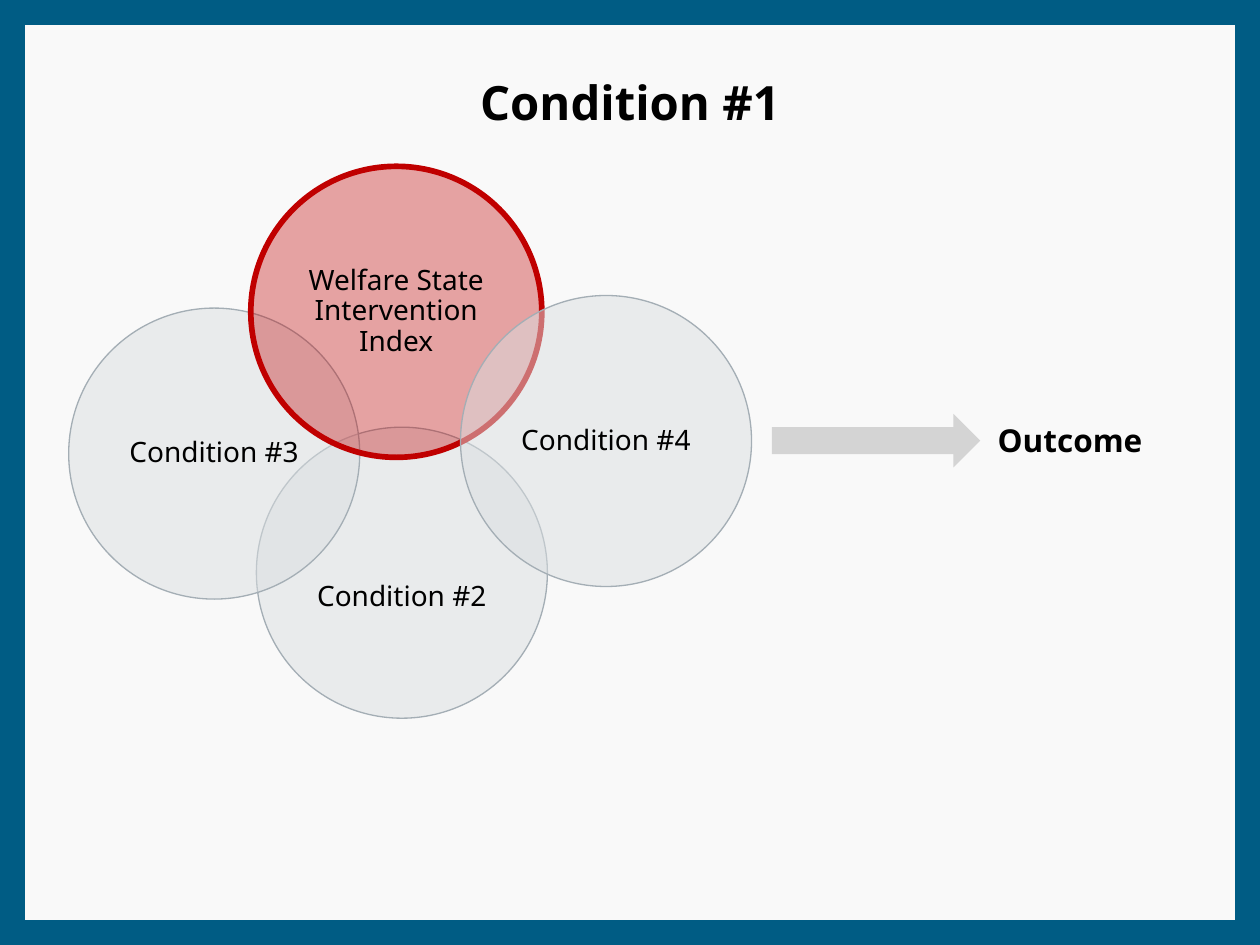
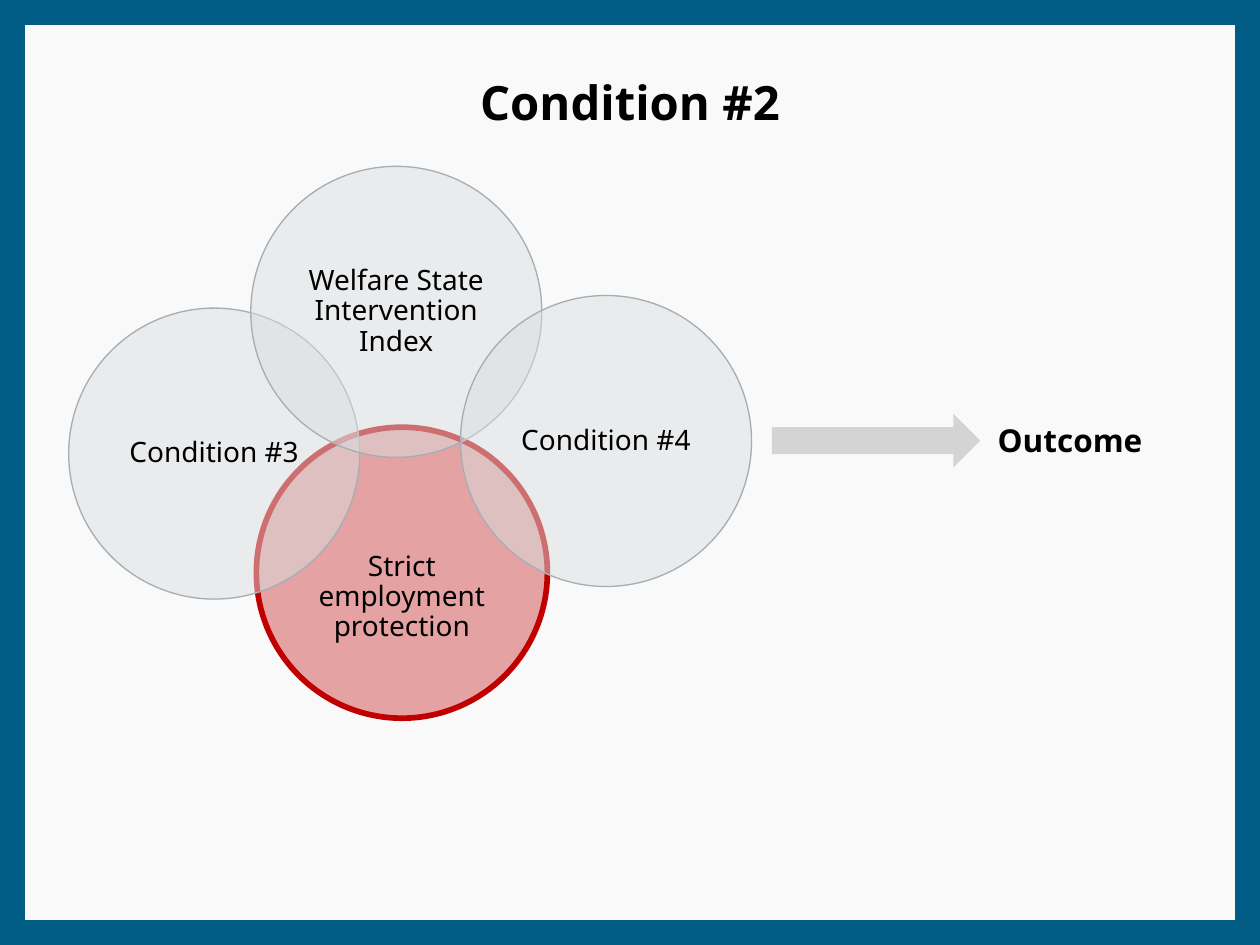
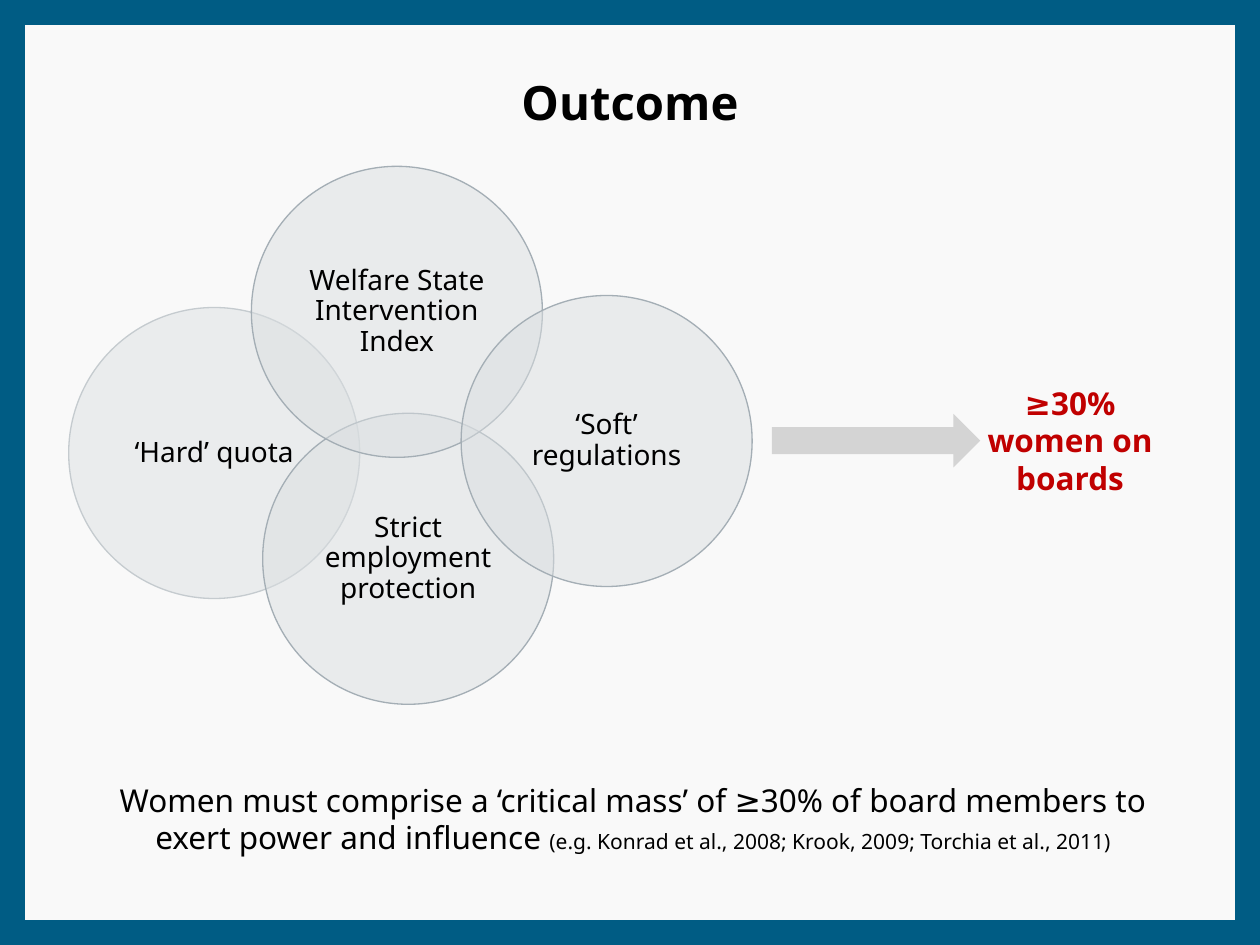
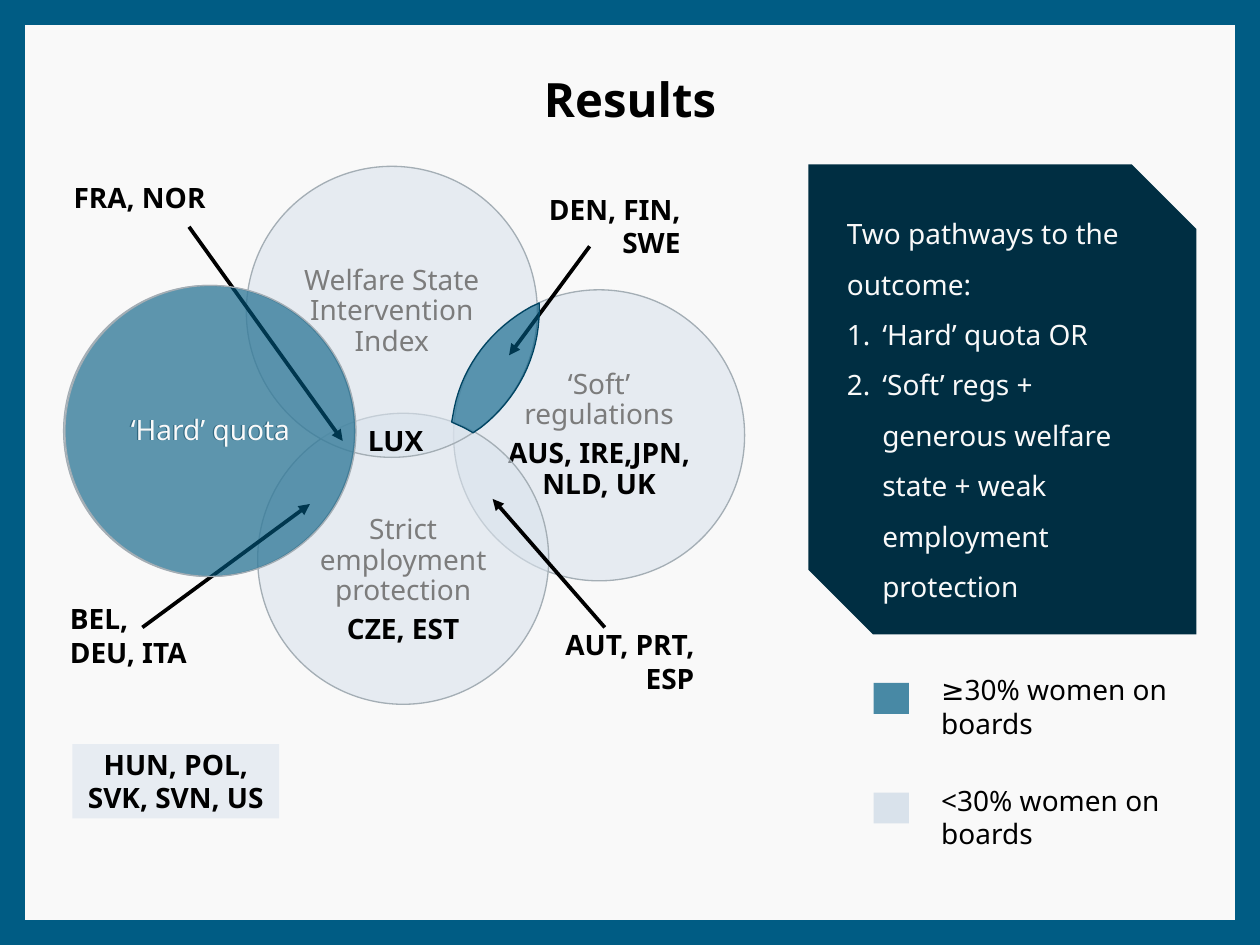
"""Build four slides on the conditions behind women's share of board seats."""
import dataclasses
import typing

import lxml.etree
import pptx
import pptx.dml.color
import pptx.enum.shapes
import pptx.enum.text
import pptx.oxml.ns
import pptx.presentation
import pptx.shapes.autoshape
import pptx.slide
import pptx.text.text
import pptx.util

Pt = pptx.util.Pt
qn = pptx.oxml.ns.qn
ShapeKind = pptx.enum.shapes.MSO_SHAPE
Align = pptx.enum.text.PP_ALIGN
Anchor = pptx.enum.text.MSO_ANCHOR
Shape = pptx.shapes.autoshape.Shape
Slide = pptx.slide.Slide
Paragraph = pptx.text.text._Paragraph
Point = tuple[float, float]

FONT = "Noto Sans"
COLORS = {
    "frame": "005C84", "panel": "F9F9F9", "text": "000000", "muted": "7C7C7C",
    "red": "C00000", "grey": "DBDFE1", "outline": "A4AEB5", "pale": "EAECED",
    "pale_outline": "C5CBCF", "ice": "DAE3EC", "arrow": "D4D4D4",
    "navy": "002E42", "overlap": "004462", "note": "E7ECF2", "low": "C4D4E2",
}
DIAMETER = 332.6
WELFARE = "Welfare State Intervention Index"
PROTECTION = "Strict employment protection"
HARD = "‘Hard’ quota"
SOFT = "‘Soft’ regulations"


class Style(typing.NamedTuple):
    fill: str
    alpha: int = 100
    line: str = "outline"
    line_width: float = 1.5
    text: str = "text"


GREY = Style("grey", 50)
PALE = Style("pale", line="pale_outline")
ACTIVE = Style("red", 35, "red", 6.5)
ICE = Style("ice", 60, text="muted")
FADED = Style("grey", 50, text="muted")
BLUE = Style("frame", 60, text="panel")


@dataclasses.dataclass(frozen=True)
class Circle:
    left: float
    top: float
    label: str
    style: Style = GREY
    countries: str = ""
    drop: float = 0


@dataclasses.dataclass(frozen=True)
class Label:
    text: str
    left: float
    top: float
    width: float
    height: float = 85
    align: Align = Align.LEFT
    bold: bool = True


def rgb(name: str) -> pptx.dml.color.RGBColor:
    return pptx.dml.color.RGBColor.from_string(COLORS[name])


def paint(shape: Shape, fill: str, *, alpha: int = 100, line: str = "",
          line_width: float = 1.5) -> None:
    shape.shadow.inherit = False
    shape.fill.solid()
    shape.fill.fore_color.rgb = rgb(fill)
    if alpha < 100:
        color = shape.element.spPr.find(f"{qn('a:solidFill')}/{qn('a:srgbClr')}")
        lxml.etree.SubElement(color, qn("a:alpha"), val=str(alpha * 1000))
    if line:
        shape.line.color.rgb = rgb(line)
        shape.line.width = Pt(line_width)
    else:
        shape.line.fill.background()


def add_shape(page: Slide, kind: ShapeKind, left: float, top: float, width: float, height: float,
              fill: str, **look: typing.Any) -> Shape:
    shape = page.shapes.add_shape(kind, Pt(left), Pt(top), Pt(width), Pt(height))
    paint(shape, fill, **look)
    return shape


def write(box: Shape, text: str, *, size: float = 32, color: str = "text", bold: bool = False,
          align: Align = Align.LEFT, spacing: float = 1.0, before: float = 0,
          numbered: bool = False, para: Paragraph | None = None) -> Paragraph:
    frame = box.text_frame
    frame.word_wrap = True
    if para is None:
        first = frame.paragraphs[0]
        para = frame.add_paragraph() if first.runs else first
        para.alignment = align
        para.line_spacing = spacing
        para.space_before = Pt(before)
        if numbered:
            properties = para._p.get_or_add_pPr()
            properties.set("marL", str(Pt(40.5)))
            properties.set("indent", str(-Pt(40.5)))
            lxml.etree.SubElement(properties, qn("a:buFont"), typeface="+mj-lt")
            lxml.etree.SubElement(properties, qn("a:buAutoNum"), type="arabicPeriod")
    span = para.add_run()
    span.text = text
    span.font.name = FONT
    span.font.size = Pt(size)
    span.font.bold = bold
    span.font.color.rgb = rgb(color)
    return para


def set_margins(box: Shape, side: float, top: float, bottom: float) -> None:
    frame = box.text_frame
    frame.margin_left = frame.margin_right = Pt(side)
    frame.margin_top, frame.margin_bottom = Pt(top), Pt(bottom)


def add_text(page: Slide, text: str, left: float, top: float, width: float, height: float,
             **look: typing.Any) -> Shape:
    box = page.shapes.add_textbox(Pt(left), Pt(top), Pt(width), Pt(height))
    write(box, text, **look)
    return box


def add_circle(page: Slide, circle: Circle) -> None:
    style = circle.style
    shape = add_shape(page, ShapeKind.OVAL, circle.left, circle.top, DIAMETER, DIAMETER,
                      style.fill, alpha=style.alpha, line=style.line,
                      line_width=style.line_width)
    set_margins(shape, 9.4, 9.4 + circle.drop, 9.4)
    shape.text_frame.vertical_anchor = Anchor.MIDDLE
    write(shape, circle.label, color=style.text, align=Align.CENTER, spacing=0.9)
    if circle.countries:
        write(shape, circle.countries, bold=True, align=Align.CENTER, spacing=0.9, before=10)


def add_arrow(page: Slide, start: Point, end: Point) -> None:
    arrow = page.shapes.add_connector(pptx.enum.shapes.MSO_CONNECTOR.STRAIGHT,
                                      *(Pt(value) for value in (*start, *end)))
    arrow.line.color.rgb = rgb("text")
    arrow.line.width = Pt(4.25)
    properties = arrow.element.spPr
    lxml.etree.SubElement(properties.find(qn("a:ln")), qn("a:tailEnd"), type="triangle")
    lxml.etree.SubElement(properties, qn("a:effectLst"))


def curve(start: Point, pull_a: Point, pull_b: Point, end: Point, steps: int = 16) -> list[Point]:
    points = []
    for step in range(steps + 1):
        t = step / steps
        weights = ((1 - t) ** 3, 3 * t * (1 - t) ** 2, 3 * t * t * (1 - t), t ** 3)
        anchors = (start, pull_a, pull_b, end)
        points.append((sum(w * a[0] for w, a in zip(weights, anchors)),
                       sum(w * a[1] for w, a in zip(weights, anchors))))
    return points


def add_overlap(page: Slide) -> None:
    outline = [
        (616.3, 346.3),
        *curve((616.3, 354.2), (616.3, 408.2), (590.4, 456.5), (550.1, 488.2)),
        (540.7, 494.6), (530.6, 488.9), (516.2, 482.4),
        *curve((519.1, 466.6), (529.2, 416.9), (562.3, 375.1), (607, 350.6)),
    ]
    points = [(Pt(x), Pt(y)) for x, y in outline]
    builder = page.shapes.build_freeform(*points[0])
    builder.add_line_segments(points[1:], close=True)
    paint(builder.convert_to_shape(), "frame", alpha=60, line="overlap")


def add_page(deck: pptx.presentation.Presentation, title: str, top: float = 80.6) -> Slide:
    page = deck.slides.add_slide(deck.slide_layouts[6])
    add_shape(page, ShapeKind.RECTANGLE, 28.8, 28.8, 1382.4, 1022.4, "panel")
    add_text(page, title, 425, top, 590, 72.7, size=54, bold=True, align=Align.CENTER)
    return page


def add_model(page: Slide, circles: list[Circle], outcome: str, top: float, height: float,
              color: str = "text") -> None:
    for circle in circles:
        add_circle(page, circle)
    add_text(page, outcome, 1120.3, top, 205.2, height, size=36, color=color, bold=True,
             align=Align.CENTER)
    add_shape(page, ShapeKind.RIGHT_ARROW, 882, 473, 238.3, 61.2, "arrow")


def add_condition(deck: pptx.presentation.Presentation, title: str, second: str,
                  top_style: Style, bottom_style: Style) -> None:
    page = add_page(deck, title)
    circles = [
        Circle(293, 488.2, second, bottom_style, drop=56),
        Circle(78.5, 352.1, "Condition #3"),
        Circle(286.6, 190.1, WELFARE, top_style),
        Circle(526.3, 337.7, "Condition #4"),
    ]
    add_model(page, circles, "Outcome", 478.1, 51.1)


def add_outcome(deck: pptx.presentation.Presentation) -> None:
    page = add_page(deck, "Outcome")
    circles = [
        Circle(78.5, 351.4, HARD, PALE),
        Circle(300.2, 472.3, PROTECTION),
        Circle(287.3, 190.1, WELFARE),
        Circle(527, 337.7, SOFT),
    ]
    add_model(page, circles, "≥30% women on boards", 434.9, 138.2, "red")
    claim = add_text(
        page, "Women must comprise a ‘critical mass’ of ≥30% of board members to exert power and influence ",
        78.5, 884.9, 1289.5, 116.6, size=36, align=Align.CENTER)
    set_margins(claim, 14.4, 7.2, 7.2)
    write(claim, "(e.g. Konrad et al., 2008; Krook, 2009; Torchia et al., 2011)", size=24,
          para=claim.text_frame.paragraphs[0])


def add_results(deck: pptx.presentation.Presentation) -> None:
    page = add_page(deck, "Results", 77)
    pathways = add_shape(page, ShapeKind.SNIP_2_DIAG_RECTANGLE, 923.8, 187.9, 443.5, 537.1, "navy")
    pathways.text_frame.vertical_anchor = Anchor.TOP
    write(pathways, "Two pathways to the outcome:", color="panel", spacing=1.5)
    for pathway in ("‘Hard’ quota OR",
                    "‘Soft’ regs + generous welfare state + weak employment protection"):
        write(pathways, pathway, color="panel", spacing=1.5, numbered=True)

    for circle in (
        Circle(518.4, 331.2, SOFT, ICE, "AUS, IRE,JPN, NLD, UK"),
        Circle(294.5, 472.3, PROTECTION, ICE, "CZE, EST", drop=50),
        Circle(281.5, 190.1, WELFARE, ICE),
        Circle(72.7, 326.2, HARD, FADED),
    ):
        add_circle(page, circle)

    note = add_shape(page, ShapeKind.RECTANGLE, 82.8, 850.3, 236.2, 85, "note")
    note.text_frame.vertical_anchor = Anchor.TOP
    write(note, "HUN, POL, SVK, SVN, US", bold=True, align=Align.CENTER)
    for label in (
        Label("DEN, FIN, SWE", 563, 216, 221.8, align=Align.RIGHT),
        Label("AUT, PRT, ESP", 638.6, 713.5, 162, align=Align.RIGHT),
        Label("LUX", 413.3, 481, 82.8, 46.1),
        Label("FRA, NOR", 77, 203, 211.7, 46.1),
        Label("BEL, DEU, ITA", 72.7, 684, 162),
        Label("≥30% women on boards", 1068.5, 765.4, 274.3, bold=False),
        Label("<30% women on boards", 1068.5, 891.4, 288.7, bold=False),
    ):
        add_text(page, label.text, label.left, label.top, label.width, label.height,
                 bold=label.bold, align=label.align)
    for start, end in (
        ((673.9, 281.5), (581.8, 406.1)),
        ((691.2, 717.1), (563, 570.2)),
        ((216, 259.2), (391.7, 504)),
        ((162.7, 717.1), (354.2, 576)),
    ):
        add_arrow(page, start, end)
    for top, fill, alpha in ((780.5, "frame", 71), (905.8, "low", 60)):
        add_shape(page, ShapeKind.RECTANGLE, 998.6, top, 40.3, 35.3, fill, alpha=alpha)
    add_overlap(page)
    add_circle(page, Circle(74.2, 326.2, HARD, BLUE))


def main() -> None:
    deck = pptx.Presentation()
    deck.slide_width, deck.slide_height = Pt(1440), Pt(1080)
    backdrop = deck.slide_master.background.fill
    backdrop.solid()
    backdrop.fore_color.rgb = rgb("frame")
    add_condition(deck, "Condition #1", "Condition #2", ACTIVE, GREY)
    add_condition(deck, "Condition #2", PROTECTION, GREY, ACTIVE)
    add_outcome(deck)
    add_results(deck)
    deck.save("out.pptx")


if __name__ == "__main__":
    main()
